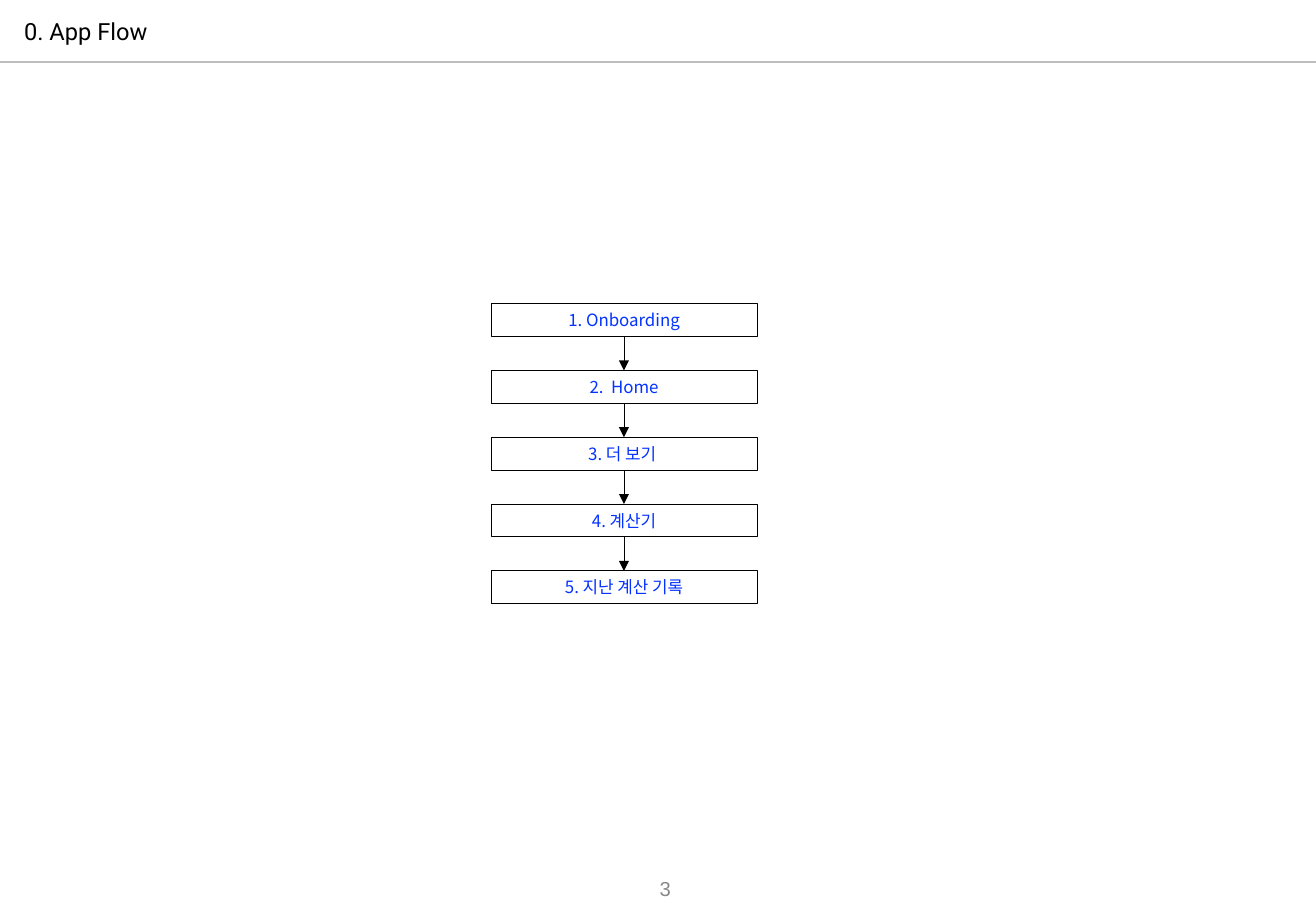
from dataclasses import dataclass

from lxml.etree import SubElement
from pptx import Presentation
from pptx.dml.color import RGBColor
from pptx.enum.shapes import MSO_CONNECTOR as Conn, MSO_SHAPE as Kind
from pptx.enum.text import MSO_ANCHOR as Anchor, PP_ALIGN as Align
from pptx.oxml.ns import qn
from pptx.shapes.autoshape import Shape
from pptx.shapes.connector import Connector
from pptx.shapes.shapetree import SlideShapes as Shapes
from pptx.util import Inches, Pt

BLACK = RGBColor(0x00, 0x00, 0x00)
WHITE = RGBColor(0xFF, 0xFF, 0xFF)
BLUE = RGBColor(0x04, 0x32, 0xFF)
RULE = RGBColor(0xBE, 0xBE, 0xBE)
GRAY = RGBColor(0x88, 0x88, 0x88)

WIDTH, HEIGHT = 10.83, 7.5
LEFT, TOP, STEP = 4.04, 2.5, 0.55
BOX_W, BOX_H = 2.19, 0.27
INSET = 0.05


@dataclass(frozen=True)
class Style:
    font: str
    size: float
    color: RGBColor
    align: Align


@dataclass(frozen=True)
class Screen:
    text: str
    top: float


TITLE = Style("Roboto", 14, BLACK, Align.LEFT)
LABEL = Style("Noto Sans CJK KR", 10, BLUE, Align.CENTER)
NUMBER = Style("Arial", 12, GRAY, Align.RIGHT)

NAMES = ["1. Onboarding", "2.  Home", "3. 더 보기 ", "4. 계산기", "5. 지난 계산 기록"]
SCREENS = [Screen(name, TOP + i * STEP) for i, name in enumerate(NAMES)]


def write(shape: Shape, text: str, style: Style) -> None:
    shape.text_frame.word_wrap = True
    para = shape.text_frame.paragraphs[0]
    para.alignment = style.align
    run = para.add_run()
    run.text = text
    for key, value in {"name": style.font, "size": Pt(style.size)}.items():
        setattr(run.font, key, value)
    run.font.color.rgb = style.color
    SubElement(run.font._element, qn("a:ea"), typeface=style.font)


def center(shape: Shape) -> None:
    frame = shape.text_frame
    frame.vertical_anchor = Anchor.MIDDLE
    for side in ("left", "top", "right", "bottom"):
        setattr(frame, f"margin_{side}", Inches(INSET))


def add_box(shapes: Shapes, screen: Screen) -> Shape:
    box = shapes.add_shape(Kind.RECTANGLE, Inches(LEFT), Inches(screen.top),
                           Inches(BOX_W), Inches(BOX_H))
    box.shadow.inherit = False
    box.fill.solid()
    box.fill.fore_color.rgb = WHITE
    box.line.color.rgb = BLACK
    box.line.width = Pt(0.5)
    center(box)
    write(box, screen.text, LABEL)
    return box


def add_line(shapes: Shapes, color: RGBColor, width: float) -> Connector:
    line = shapes.add_connector(Conn.STRAIGHT, 0, Inches(0.51),
                                Inches(WIDTH), Inches(0.51))
    line.line.color.rgb = color
    line.line.width = Pt(width)
    SubElement(line._element.spPr, qn("a:effectLst"))
    return line


def add_arrow(shapes: Shapes, start: Shape, end: Shape) -> None:
    arrow = add_line(shapes, BLACK, 0.5)
    arrow.begin_connect(start, 2)
    arrow.end_connect(end, 0)
    SubElement(arrow.line._get_or_add_ln(), qn("a:tailEnd"), type="triangle")


def main() -> None:
    deck = Presentation()
    deck.slide_width, deck.slide_height = Inches(WIDTH), Inches(HEIGHT)
    shapes = deck.slides.add_slide(deck.slide_layouts[6]).shapes

    # Header
    add_line(shapes, RULE, 0.72)
    title = shapes.add_textbox(Inches(0.1), Inches(0.12), Inches(5.27), Inches(0.28))
    write(title, "0. App Flow", TITLE)
    title.text_frame.paragraphs[0].line_spacing = 0.9

    # Page number
    page = shapes.add_textbox(Inches(5.27), Inches(7.17), Inches(0.3), Inches(0.29))
    center(page)
    write(page, "3", NUMBER)

    # Flow of screens
    boxes = [add_box(shapes, screen) for screen in SCREENS]
    for start, end in zip(boxes, boxes[1:]):
        add_arrow(shapes, start, end)

    deck.save("out.pptx")


if __name__ == "__main__":
    main()
